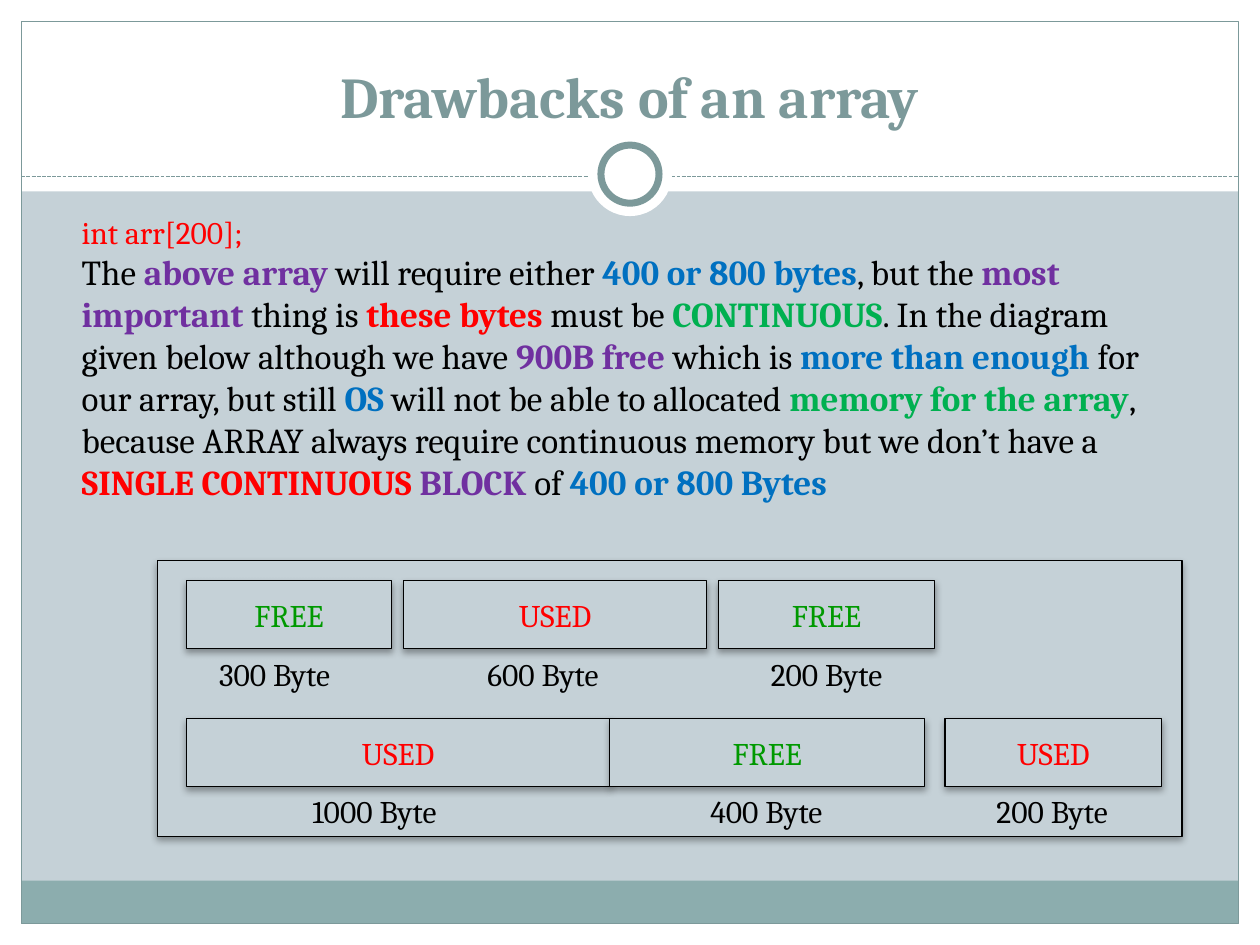
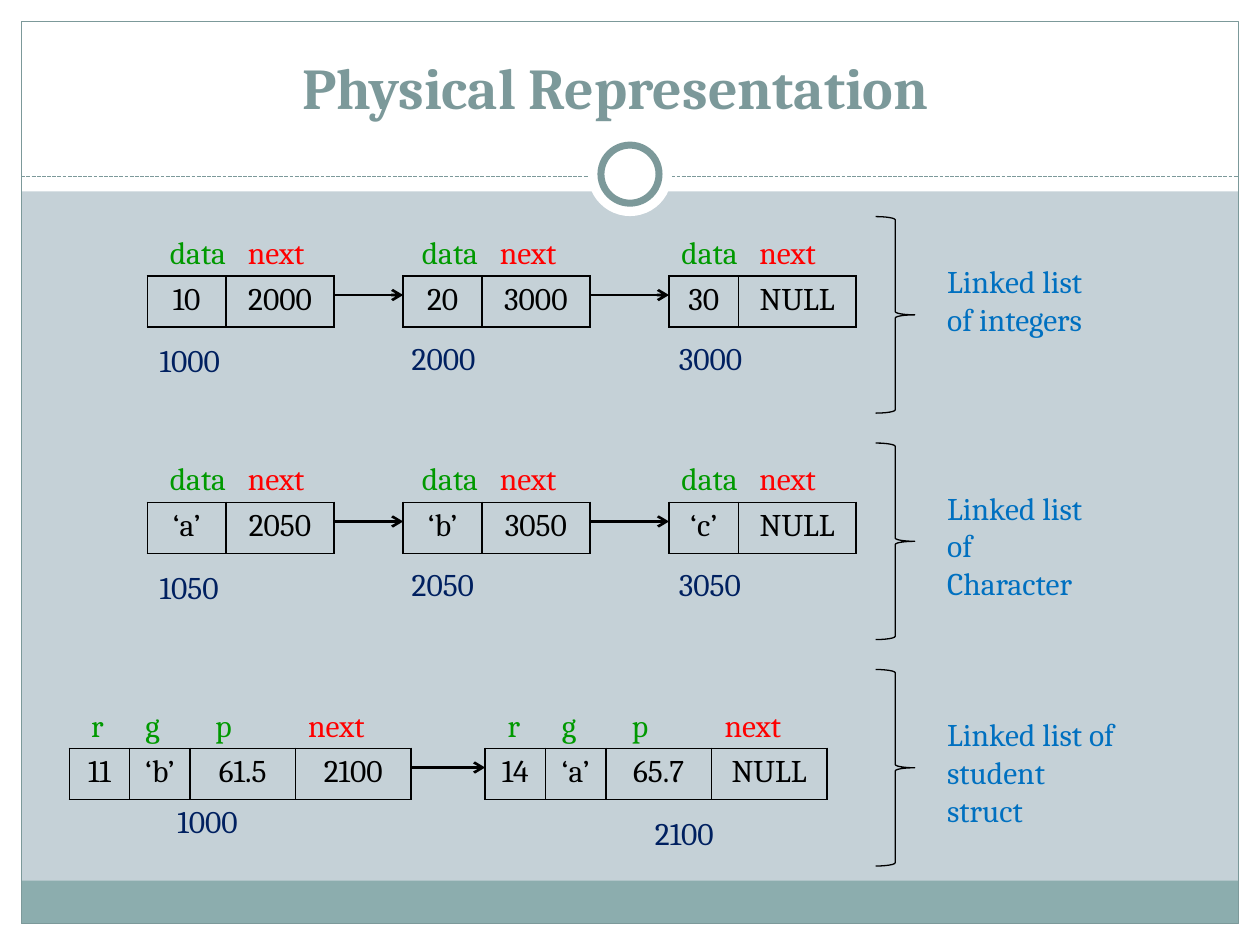
from collections import namedtuple
from dataclasses import dataclass
from itertools import accumulate

from lxml import etree
from pptx import Presentation
from pptx.dml.color import RGBColor
from pptx.enum.dml import MSO_LINE
from pptx.enum.shapes import MSO_CONNECTOR, MSO_SHAPE
from pptx.enum.text import MSO_ANCHOR, PP_ALIGN
from pptx.oxml.ns import qn
from pptx.util import Pt

RECT, OVAL, BRACE = MSO_SHAPE.RECTANGLE, MSO_SHAPE.OVAL, MSO_SHAPE.RIGHT_BRACE
LINE, DASH = MSO_CONNECTOR.STRAIGHT, MSO_LINE.SQUARE_DOT
LEFT, MID = PP_ALIGN.LEFT, PP_ALIGN.CENTER
TOP, CENTRE, BASE = MSO_ANCHOR.TOP, MSO_ANCHOR.MIDDLE, MSO_ANCHOR.BOTTOM


@dataclass(frozen=True)
class Theme:
    font: str = "Cambria"
    back: str = "C5D1D7"
    white: str = "FFFFFF"
    band: str = "8CADAE"
    edge: str = "7C999A"
    black: str = "000000"
    red: str = "FF0000"
    green: str = "009900"
    leaf: str = "00B050"
    blue: str = "0070C0"
    navy: str = "002060"
    plum: str = "7030A0"
    title: int = 33
    body: int = 20
    small: int = 18


T = Theme()
Box = namedtuple("Box", "x y w h")
Run = namedtuple("Run", "text hue size bold", defaults=(T.small, False))
Slot = namedtuple("Slot", "x widths head note drop")

HALF = (45, 61.7)
QUAD = (34.5, 34.5, 60.3, 66)
PAIRS = [
    Slot(84.2, HALF, 5.8, 0, 33.8),
    Slot(230.4, HALF, 3.6, -2.2, 32.4),
    Slot(382.3, (39.6, 67.3), 0, -1.4, 32.4),
]
QUADS = [Slot(39.6, QUAD, 5.4, 54.7, 27.4), Slot(277.2, QUAD, 5.8, 90, 33.8)]
PAIR_TABS = (44.6,)
QUAD_TABS = (31, 71, 124)


def rgb(hue):
    return RGBColor.from_string(hue)


def pts(box):
    return [Pt(v) for v in box]


def sub(node, tag, **attrs):
    return etree.SubElement(node, qn(tag), attrs)


def write(frame, paras, align=LEFT, anchor=TOP, tabs=()):
    frame.word_wrap = True
    frame.vertical_anchor = anchor
    for i, runs in enumerate(paras):
        para = frame.paragraphs[0] if i == 0 else frame.add_paragraph()
        if tabs:
            stops = sub(para._p.get_or_add_pPr(), "a:tabLst")
            for stop in tabs:
                sub(stops, "a:tab", pos=str(Pt(stop)), algn="l")
        para.alignment = align
        for part in runs:
            run = para.add_run()
            run.text = part.text
            font = run.font
            font.name, font.size, font.bold = T.font, Pt(part.size), part.bold
            font.color.rgb = rgb(part.hue)


def label(slide, box, *paras, **style):
    frame = slide.shapes.add_textbox(*pts(box)).text_frame
    write(frame, paras, **style)


def note(slide, x, y, text, hue):
    label(slide, Box(x, y, 8 * len(text) + 23, 29), [Run(text, hue)])


def shape(slide, kind, box, fill=None, line=None, weight=0.75):
    item = slide.shapes.add_shape(kind, *pts(box))
    item.shadow.inherit = False
    if fill:
        item.fill.solid()
        item.fill.fore_color.rgb = rgb(fill)
    else:
        item.fill.background()
    if line:
        item.line.color.rgb = rgb(line)
        item.line.width = Pt(weight)
    else:
        item.line.fill.background()
    return item


def panel(slide, box):
    item = shape(slide, RECT, box, T.back, T.black)
    glow = sub(item.element.spPr.find(qn("a:effectLst")), "a:outerShdw",
               blurRad=str(Pt(4)), dist=str(Pt(2)), dir="5400000", rotWithShape="0")
    sub(sub(glow, "a:srgbClr", val=T.black), "a:alpha", val="35000")
    return item


def rule(slide, x, y, end, hue, weight, dash=None, arrow=False):
    item = slide.shapes.add_connector(LINE, *pts((x, y, end, y)))
    item.line.color.rgb = rgb(hue)
    item.line.width = Pt(weight)
    if dash:
        item.line.dash_style = dash
    if arrow:
        sub(item.line._get_or_add_ln(), "a:tailEnd", type="arrow")
    sub(item.element.spPr, "a:effectLst")


def base(deck, title, box):
    slide = deck.slides.add_slide(deck.slide_layouts[6])
    slide.background.fill.solid()
    slide.background.fill.fore_color.rgb = rgb(T.back)
    rim = 12.2
    wide, high = 720, 540
    for side in (Box(0, high - rim, wide, rim), Box(0, 0, wide, 109.4),
                 Box(0, 0, rim, high), Box(wide - rim, 0, rim, high)):
        shape(slide, RECT, side, T.white)
    inner = Box(rim, rim, wide - 2 * rim, high - 2 * rim)
    shape(slide, RECT, Box(rim, 503.3, inner.w, 24.5), T.band)
    shape(slide, RECT, inner, None, T.edge)
    rule(slide, rim, 100.8, wide - rim, T.edge, 0.75, DASH)
    for size, line in ((48, None), (33.2, T.edge)):
        ring = Box((wide - size) / 2, 99.5 - size / 2, size, size)
        shape(slide, OVAL, ring, T.white, line, 4)
    label(slide, box, [Run(title, T.edge, T.title, True)], align=MID, anchor=BASE)
    return slide


def prose(slide, box):
    parts = [
        ("The ", T.black), ("above array ", T.plum),
        ("will require either ", T.black), ("400 or 800 bytes", T.blue),
        (", but the ", T.black), ("most important ", T.plum),
        ("thing is ", T.black), ("these bytes ", T.red),
        ("must be ", T.black), ("CONTINUOUS", T.leaf),
        (". In the diagram given below although we have", T.black),
        (" 900B free ", T.plum), ("which is ", T.black),
        ("more than enough", T.blue), (" for our array, but still ", T.black),
        ("OS", T.blue), (" will not be able to allocated ", T.black),
        ("memory for the array", T.leaf),
        (", because ARRAY always require continuous memory but we don’t have a ", T.black),
        ("SINGLE CONTINUOUS ", T.red), ("BLOCK", T.plum),
        (" of ", T.black), ("400 or 800 Bytes", T.blue),
    ]
    text = [Run(words, hue, T.body, hue != T.black) for words, hue in parts]
    label(slide, box, [Run("int arr[200];", T.red)], text)


def memory(slide, box):
    panel(slide, box)
    rows = [
        (11.5, [(16.5, 117.4, "FREE", 28.1, "300 Byte"),
                (140.4, 173.5, "USED", 181.4, "600 Byte"),
                (320.4, 123.8, "FREE", 343.4, "200 Byte")]),
        (90.2, [(16.5, 242, "USED", 81.4, "1000 Byte"),
                (258.5, 180, "FREE", 308.9, "400 Byte"),
                (450, 123.8, "USED", 472.3, "200 Byte")]),
    ]
    for top, blocks in rows:
        y = box.y + top
        for x, wide, state, inset, size in blocks:
            item = panel(slide, Box(box.x + x, y, wide, 38.9))
            hue = T.green if state == "FREE" else T.red
            write(item.text_frame, [[Run(state, hue)]], MID, CENTRE)
            note(slide, box.x + inset, y + 38.6, size, T.black)


def grid(slide, x, y, widths, values):
    table = slide.shapes.add_table(1, len(widths), *pts((x, y, sum(widths), 29.2))).table
    table.first_row = table.horz_banding = False
    for i, (wide, value) in enumerate(zip(widths, values)):
        table.columns[i].width = Pt(wide)
        cell = table.cell(0, i)
        write(cell.text_frame, [[Run(value, T.black)]], MID)
        props = cell._tc.get_or_add_tcPr()
        for side in "LRTB":
            line = sub(props, "a:ln" + side, w=str(Pt(1)))
            sub(sub(line, "a:solidFill"), "a:srgbClr", val=T.black)
        cell.fill.background()


def chain(slide, box, slots, heads, tabs, nodes, text, span, sink=0):
    top = box.y + 33.8 + sink
    *names, link = heads
    for slot, (values, place) in zip(slots, nodes):
        x = box.x + slot.x
        grid(slide, x, top, slot.widths, values)
        runs = [Run(name + "\t", T.green) for name in names] + [Run(link, T.red)]
        head = Box(x + slot.head, top - 28, tabs[-1] + 60, 29)
        label(slide, head, runs, tabs=tabs)
        note(slide, x + slot.note, top + slot.drop, place, T.navy)
    for slot, after in zip(slots, slots[1:]):
        end = list(accumulate(slot.widths))[-1]
        rule(slide, box.x + slot.x + end, top + 11, box.x + after.x,
             T.black, 1.5, arrow=True)
    shape(slide, BRACE, Box(box.x + 500.4, box.y, 22.3, box.h), None, T.black)
    label(slide, Box(box.x + 534.2, box.y + 22.5, span, 72.7), [Run(text, T.blue)])


def array(deck):
    slide = base(deck, "Drawbacks of an array", Box(23.8, 18, 672, 59.8))
    memory(slide, Box(90, 320.4, 585.4, 157.7))
    prose(slide, Box(39.6, 118.1, 618.5, 198.7))


def lists(deck):
    slide = base(deck, "Physical Representation", Box(129.6, 22.3, 444.2, 50.4))
    pair, quad = ("data", "next"), ("r", "g", "p", "next")
    rows = [
        (PAIRS, pair, PAIR_TABS,
         [(("10", "2000"), "1000"), (("20", "3000"), "2000"), (("30", "NULL"), "3000")],
         "Linked list of integers", 95.8),
        (PAIRS, pair, PAIR_TABS,
         [(("‘a’", "2050"), "1050"), (("‘b’", "3050"), "2050"), (("‘c’", "NULL"), "3050")],
         "Linked list of Character", 95.8),
        (QUADS, quad, QUAD_TABS,
         [(("11", "‘b’", "61.5", "2100"), "1000"), (("14", "‘a’", "65.7", "NULL"), "2100")],
         "Linked list of student struct", 112.3, 11.2),
    ]
    for i, row in enumerate(rows):
        chain(slide, Box(0, 123.8 + 129.4 * i, 720, 112.3), *row)


def main():
    deck = Presentation()
    deck.slide_width, deck.slide_height = Pt(720), Pt(540)
    array(deck)
    lists(deck)
    deck.save("out.pptx")


if __name__ == "__main__":
    main()
